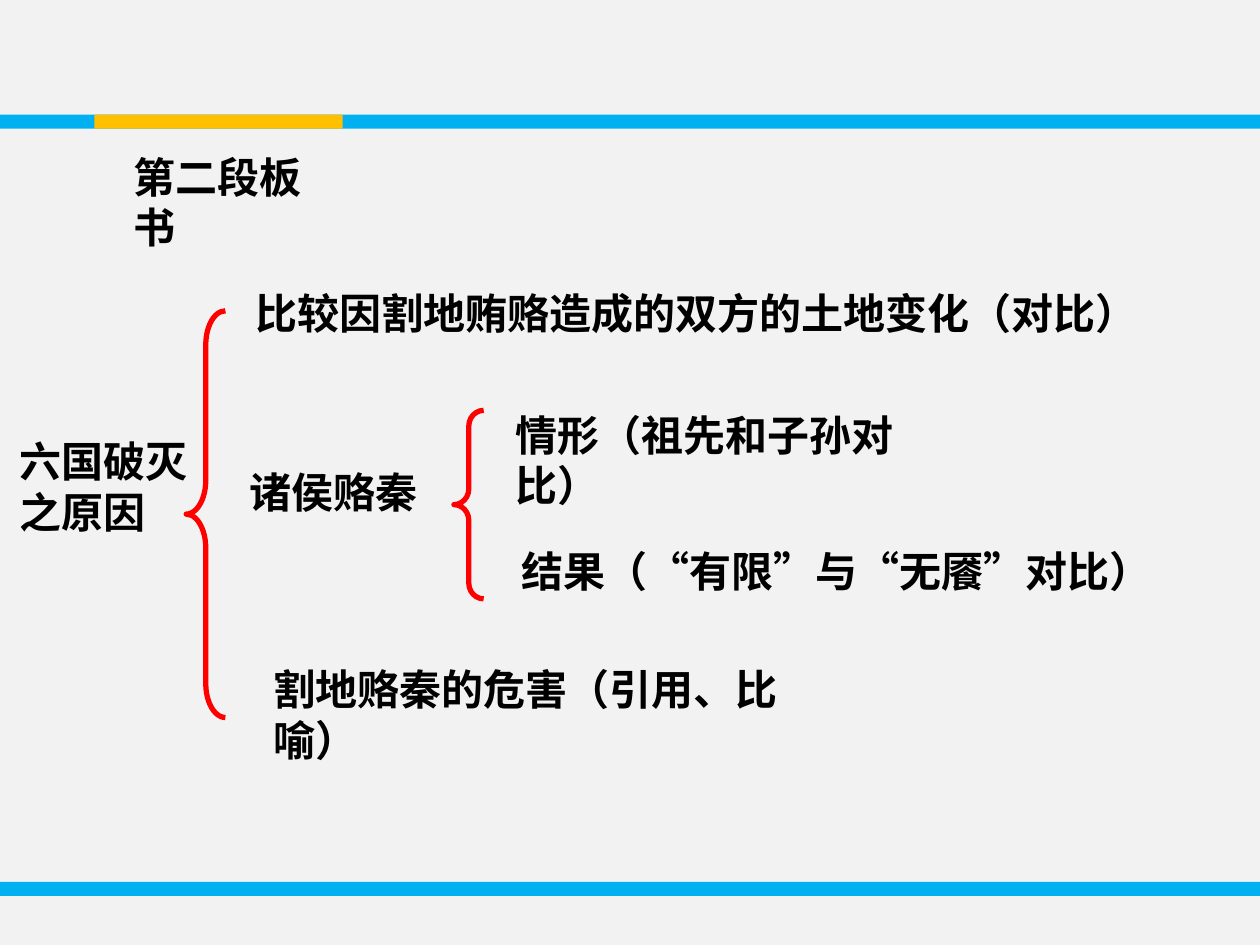
from pptx import Presentation
from pptx.dml.color import RGBColor as Rgb
from pptx.enum.shapes import MSO_SHAPE as Kind
from pptx.enum.text import MSO_ANCHOR as Anchor, MSO_AUTO_SIZE as Fit, PP_ALIGN as Align
from pptx.oxml.ns import qn
from pptx.util import Pt
from lxml.etree import SubElement

THEME = {
    "font": "Noto Sans CJK SC", "size": 24, "text": "000000",
    "back": "F2F2F2", "bar": "00B0F0", "accent": "FFC000", "brace": "FF0000",
}
WIDE, HIGH = 720, 540
BAR = 8      # bar height
LINE = 36    # height of a one-line box

TITLE = ("第二段板书", 69.1, 82.8, 134)
# text, left, top, width
ROOT = (["六国破灭", "之原因"], 4.3, 245.5, 126.7)
NOTES = [
    ("比较因割地贿赂造成的双方的土地变化（对比）", 139, 160.6, 518.4),
    ("诸侯赂秦", 135.4, 262.8, 110.2),
    ("情形（祖先和子孙对比）", 287.3, 230.4, 278),
    ("结果（“有限”与“无餍”对比）", 290.9, 308.2, 374.4),
    ("割地赂秦的危害（引用、比喻）", 149, 375.8, 350),
]
# left, top, width, colour
BARS = [(0, 504, WIDE, "bar"), (0, 65.5, WIDE, "bar"), (54, 65.5, 141.8, "accent")]
# left, top, width, height, depth of the curve
BRACES = [(106.4, 177.6, 22.4, 232.4, 19.4), (259.4, 234.5, 17, 107.7, 9)]


def tint(name):
    return Rgb.from_string(THEME[name])


def place(shape, *box):
    shape.left, shape.top, shape.width, shape.height = map(Pt, box)


def write(shape, lines, wrap=False):
    frame = shape.text_frame
    frame.word_wrap = wrap
    frame.auto_size = Fit.SHAPE_TO_FIT_TEXT
    frame.vertical_anchor = Anchor.TOP
    for i, line in enumerate(lines):
        para = frame.add_paragraph() if i else frame.paragraphs[0]
        para.alignment = Align.LEFT
        run = para.add_run()
        run.text = line
        font = run.font
        font.name, font.size, font.bold = THEME["font"], Pt(THEME["size"]), True
        font.color.rgb = tint("text")
        # East Asian text takes its own typeface
        SubElement(run._r.get_or_add_rPr(), qn("a:ea"), typeface=THEME["font"])


def add_bar(slide, left, top, width, name):
    bar = slide.shapes.add_shape(Kind.RECTANGLE, *map(Pt, (left, top, width, BAR)))
    bar.shadow.inherit = False
    bar.fill.solid()
    bar.fill.fore_color.rgb = tint(name)
    bar.line.fill.background()


def add_brace(slide, left, top, width, height, curve):
    brace = slide.shapes.add_shape(Kind.LEFT_BRACE, *map(Pt, (left, top, width, height)))
    brace.adjustments[0] = curve / width
    brace.shadow.inherit = False
    brace.fill.background()
    brace.line.color.rgb = tint("brace")
    brace.line.width = Pt(3)


def add_note(slide, lines, left, top, width, wrap=False):
    box = (left, top, width, LINE + 29 * (len(lines) - 1))
    write(slide.shapes.add_textbox(*map(Pt, box)), lines, wrap)


def main():
    deck = Presentation()
    deck.slide_width, deck.slide_height = Pt(WIDE), Pt(HIGH)
    slide = deck.slides.add_slide(deck.slide_layouts[5])
    slide.background.fill.solid()
    slide.background.fill.fore_color.rgb = tint("back")

    for bar in BARS:
        add_bar(slide, *bar)
    text, left, top, width = TITLE
    place(slide.shapes.title, left, top, width, LINE)
    write(slide.shapes.title, [text])
    add_note(slide, *ROOT, wrap=True)
    for brace in BRACES:
        add_brace(slide, *brace)
    for text, *box in NOTES:
        add_note(slide, [text], *box)

    deck.save("out.pptx")


if __name__ == "__main__":
    main()
